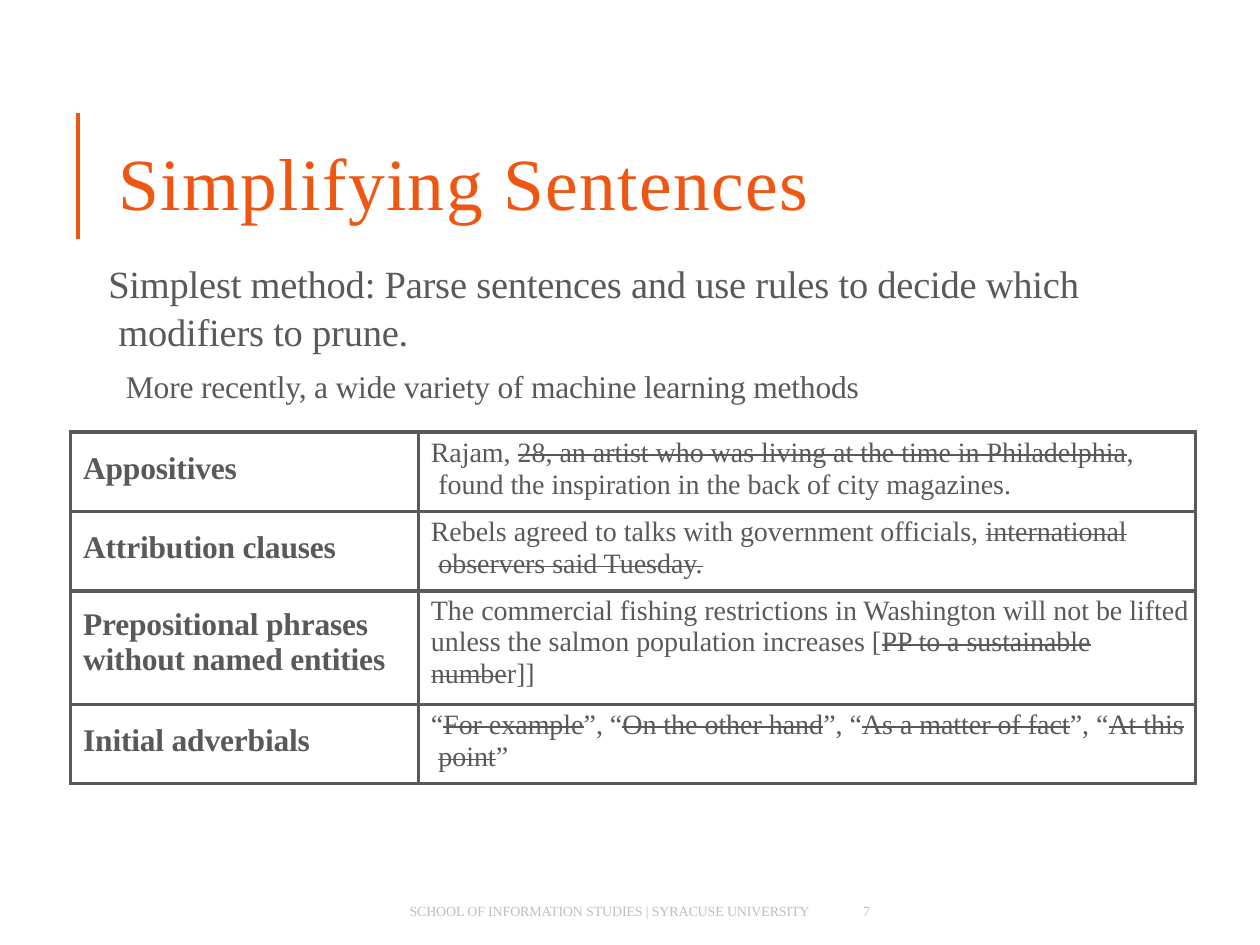
from dataclasses import dataclass
from typing import NamedTuple

from lxml import etree
from pptx import Presentation
from pptx.dml.color import RGBColor
from pptx.enum.shapes import MSO_CONNECTOR
from pptx.enum.text import MSO_ANCHOR, MSO_AUTO_SIZE, PP_ALIGN
from pptx.oxml.ns import qn
from pptx.util import Inches, Pt

STRAIGHT = MSO_CONNECTOR.STRAIGHT
TOP = MSO_ANCHOR.TOP
LEFT = PP_ALIGN.LEFT
NO_FIT = MSO_AUTO_SIZE.NONE


@dataclass(frozen=True)
class Theme:
    font: str = "Times New Roman"
    accent: str = "EE5612"
    body: str = "595959"
    muted: str = "BFBFBF"
    title_size: float = 42
    lead_size: float = 22
    label_size: float = 18
    example_size: float = 16
    footer_size: float = 8
    border: float = 2.25


class Style(NamedTuple):
    size: float
    color: str
    bold: bool = False
    tracking: float = 0


class Para(NamedTuple):
    margin: float = 0
    hanging: float = 0
    line_spacing: float = 1
    space_before: float = 0


class Span(NamedTuple):
    text: str
    struck: bool = False


class Row(NamedTuple):
    label: str
    example: list[Span]
    height: float = 0.63
    label_top: float = 0.15
    hanging: float = 0.06
    line_spacing: float = 1.04


THEME = Theme()
TITLE = Style(THEME.title_size, THEME.accent, tracking=0.8)
LEAD = Style(THEME.lead_size, THEME.body, tracking=-0.1)
SUBPOINT = Style(THEME.label_size, THEME.body, tracking=-0.1)
LABEL = Style(THEME.label_size, THEME.body, bold=True, tracking=-0.1)
EXAMPLE = Style(THEME.example_size, THEME.body)
FOOTER = Style(THEME.footer_size, THEME.muted, tracking=-0.1)

COLUMNS = (2.76, 6.17)
ROWS = [
    Row("Appositives", [
        Span("Rajam, "),
        Span("28, an artist who was living at the time in Philadelphia", True),
        Span(", found the inspiration in the back of city magazines."),
    ]),
    Row("Attribution clauses", [
        Span("Rebels agreed to talks with government officials, "),
        Span("international observers said Tuesday.", True),
    ]),
    Row("Prepositional phrases without named entities", [
        Span("The commercial fishing restrictions in Washington will not be "
             "lifted unless the salmon population increases ["),
        Span("PP to a sustainable numbe", True),
        Span("r]]"),
    ], height=0.9, label_top=0.13, hanging=0, line_spacing=1.02),
    Row("Initial adverbials", [
        Span("“"), Span("For example", True),
        Span("”, “"), Span("On the other hand", True),
        Span("”, “"), Span("As a matter of fact", True),
        Span("”, “"), Span("At this point", True),
        Span("”"),
    ]),
]


def write(p, spans: list[Span], style: Style, para: Para = Para()) -> None:
    p.alignment = LEFT
    p.line_spacing = para.line_spacing
    if para.space_before:
        p.space_before = Pt(para.space_before)
    pPr = p._p.get_or_add_pPr()
    pPr.set("marL", str(Inches(para.margin + para.hanging)))
    pPr.set("indent", str(-Inches(para.hanging)))
    for span in spans:
        r = p.add_run()
        r.text = span.text
        r.font.name = THEME.font
        r.font.size = Pt(style.size)
        r.font.bold = style.bold
        r.font.color.rgb = RGBColor.from_string(style.color)
        rPr = r._r.get_or_add_rPr()
        rPr.set("spc", str(round(style.tracking * 100)))
        if span.struck:
            rPr.set("strike", "sngStrike")


def prepare(s, top: float = 0):
    """Give a text shape a wrapping, top-anchored frame with only a top inset."""
    tf = s.text_frame
    tf.auto_size = NO_FIT
    tf.word_wrap = True
    tf.vertical_anchor = TOP
    tf.margin_left = tf.margin_right = tf.margin_bottom = 0
    tf.margin_top = Inches(top)
    return tf


def add_text(slide, box: tuple[float, ...], top: float = 0):
    return prepare(slide.shapes.add_textbox(*map(Inches, box)), top)


def add_rule(slide, x: float, top: float, bottom: float) -> None:
    line = slide.shapes.add_connector(
        STRAIGHT, Inches(x), Inches(bottom), Inches(x), Inches(top))
    line.line.color.rgb = RGBColor.from_string(THEME.accent)
    line.line.width = Pt(2)
    etree.SubElement(line._element.spPr, qn("a:effectLst"))


def format_cell(cell, top: float) -> None:
    tcPr = cell._tc.get_or_add_tcPr()
    for side in ("lnL", "lnR", "lnT", "lnB"):
        ln = etree.SubElement(tcPr, qn(f"a:{side}"), w=str(Pt(THEME.border)))
        fill = etree.SubElement(ln, qn("a:solidFill"))
        etree.SubElement(fill, qn("a:srgbClr"), val=THEME.body)
    cell.fill.background()
    cell.vertical_anchor = TOP
    cell.margin_left = cell.margin_right = cell.margin_bottom = 0
    cell.margin_top = Inches(top)


def add_examples(slide, left: float, top: float) -> None:
    height = sum(row.height for row in ROWS)
    table = slide.shapes.add_table(
        len(ROWS), len(COLUMNS), Inches(left), Inches(top),
        Inches(sum(COLUMNS)), Inches(height)).table
    table.first_row = table.horz_banding = False
    for column, width in zip(table.columns, COLUMNS):
        column.width = Inches(width)
    for i, row in enumerate(ROWS):
        table.rows[i].height = Inches(row.height)
        label, example = table.cell(i, 0), table.cell(i, 1)
        format_cell(label, row.label_top)
        write(label.text_frame.paragraphs[0], [Span(row.label)], LABEL, Para(0.1))
        format_cell(example, 0.03)
        write(example.text_frame.paragraphs[0], row.example, EXAMPLE,
              Para(0.1, row.hanging, row.line_spacing))


def main() -> None:
    prs = Presentation()
    prs.slide_width, prs.slide_height = Inches(10), Inches(7.5)
    slide = prs.slides.add_slide(prs.slide_layouts[5])
    add_rule(slide, 0.62, 0.9, 1.9)

    title = slide.shapes.title
    title.left, title.top, title.width, title.height = map(
        Inches, (0.93, 1.08, 5.57, 0.73))
    write(prepare(title, 0.01).paragraphs[0],
          [Span("Simplifying Sentences")], TITLE, Para(0.01))

    tf = add_text(slide, (0.85, 2.05, 7.84, 1.18), 0.01)
    write(tf.paragraphs[0],
          [Span("Simplest method: Parse sentences and use rules to decide "
                "which modifiers to prune.")],
          LEAD, Para(0.01, 0.08, 1.02))
    write(tf.add_paragraph(),
          [Span("More recently, a wide variety of machine learning methods")],
          SUBPOINT, Para(0.15, space_before=7.6))

    add_examples(slide, 0.56, 3.43)

    tf = add_text(slide, (3.24, 7.16, 3.28, 0.15))
    write(tf.paragraphs[0],
          [Span("SCHOOL OF INFORMATION STUDIES | SYRACUSE UNIVERSITY")],
          FOOTER, Para(0.01))
    tf = add_text(slide, (6.81, 7.16, 0.14, 0.15))
    write(tf.paragraphs[0], [Span("7")], FOOTER, Para(0.04))

    prs.save("out.pptx")


if __name__ == "__main__":
    main()
